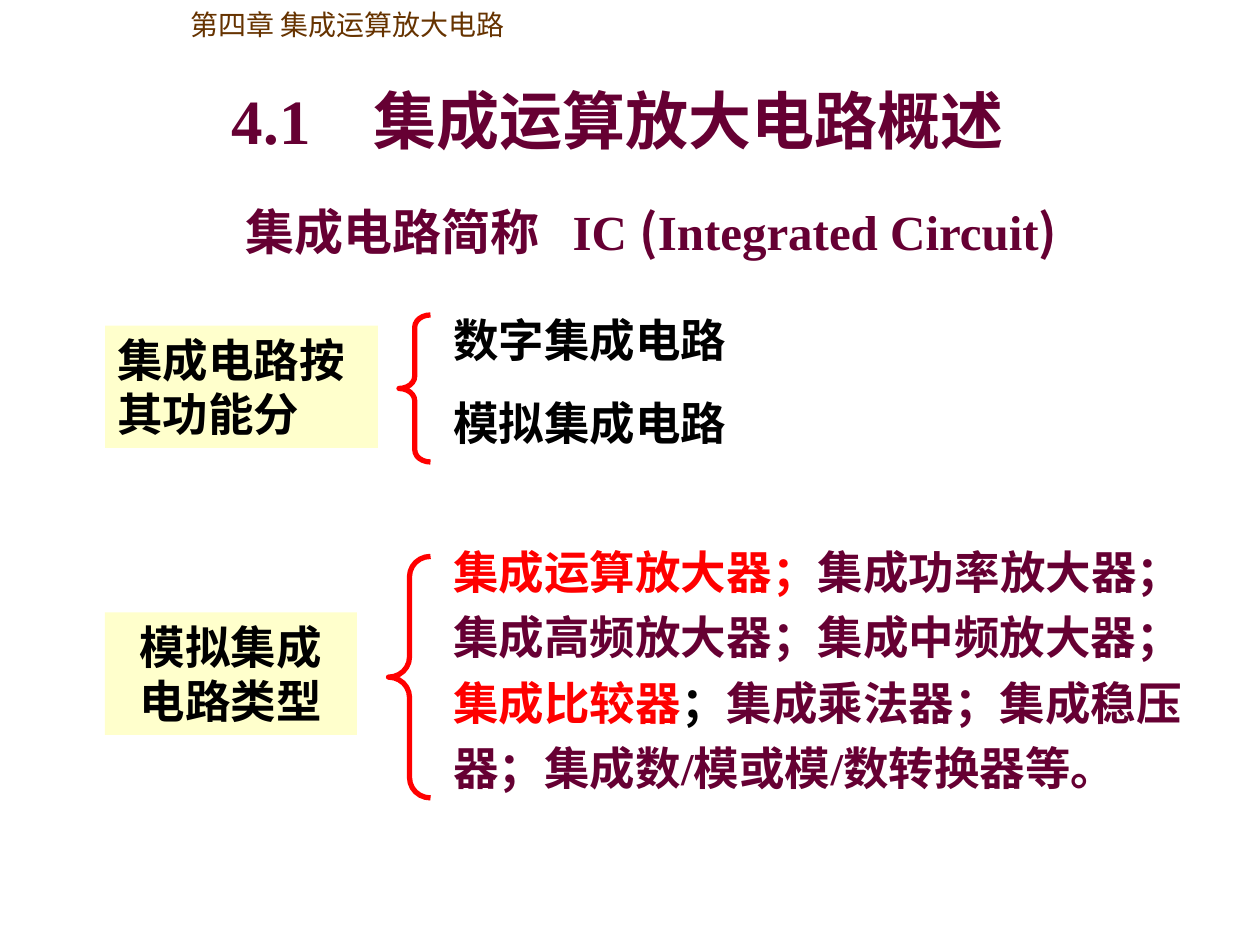
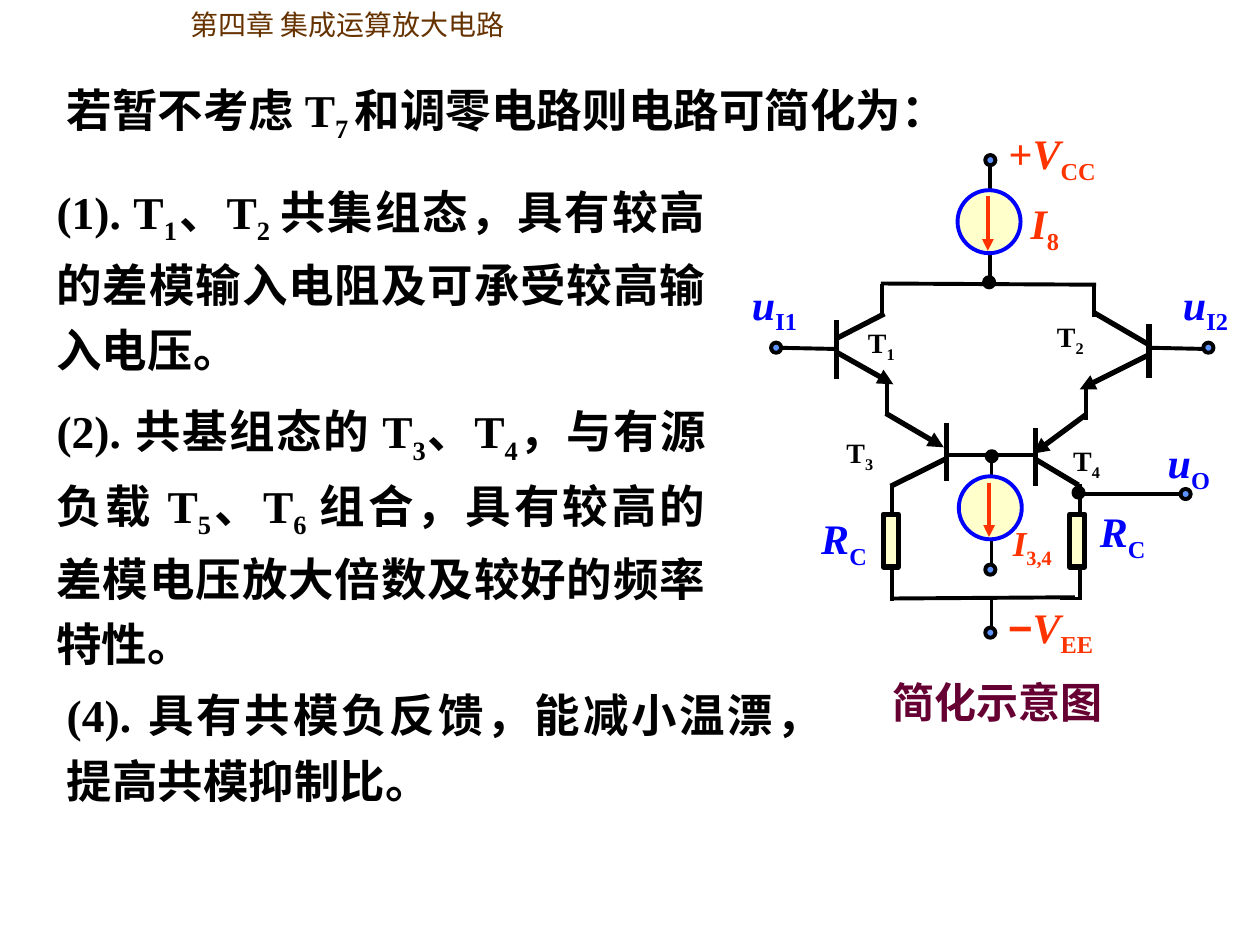
"""Build two lecture slides on integrated operational amplifiers."""
import pptx
import pptx.dml.color
import pptx.enum.shapes
import pptx.enum.text
import pptx.oxml
import pptx.oxml.ns
import pptx.util

Pt = pptx.util.Pt
SHAPES = pptx.enum.shapes.MSO_SHAPE
ALIGN = pptx.enum.text.PP_ALIGN
MIDDLE = pptx.enum.text.MSO_ANCHOR.MIDDLE

COLORS = {
    "black": "000000",
    "plum": "660033",
    "brown": "663300",
    "red": "FF0000",
    "orange": "FF3300",
    "blue": "0000FF",
    "cream": "FFFFCC",
    "terminal": "5D93FF",
}
CJK_FONT = "Noto Sans CJK SC"
BODY = {"name": "Times New Roman", "size": 26, "bold": True, "italic": False, "color": "black"}
TITLE = {"size": 36, "color": "plum"}
SUBTITLE = {"size": 28, "color": "plum"}
CAPTION = {"size": 24, "color": "plum"}
HEADER = {"name": "Noto Sans CJK JP", "size": 16, "bold": False, "color": "brown"}
SUBSCRIPT = {"baseline": "-25000", "italic": False}
SPACED = {"line_spacing": 1.2}
JUSTIFIED = {"alignment": ALIGN.JUSTIFY}
CENTERED = {"alignment": ALIGN.CENTER}


def with_subscripts(*pieces):
    return [(piece, SUBSCRIPT if index % 2 else {}) for index, piece in enumerate(pieces)]


class Deck:
    def __init__(self):
        self.presentation = pptx.Presentation()
        self.presentation.slide_width = Pt(720)
        self.presentation.slide_height = Pt(540)
        self.slide = None

    def new_slide(self):
        self.slide = self.presentation.slides.add_slide(self.presentation.slide_layouts[6])
        self.text((102, 0.7, 241, 27), [["第四章 集成运算放大电路"]], HEADER)

    def color(self, name):
        return pptx.dml.color.RGBColor.from_string(COLORS[name])

    def format_run(self, run, style):
        style = dict(style)
        run.font.color.rgb = self.color(style.pop("color"))
        run.font.size = Pt(style.pop("size"))
        baseline = style.pop("baseline", None)
        for attribute, value in style.items():
            setattr(run.font, attribute, value)
        properties = run.font._element
        if baseline:
            properties.set("baseline", baseline)
        east_asian = pptx.oxml.parse_xml(
            f'<a:ea {pptx.oxml.ns.nsdecls("a")} typeface="{CJK_FONT}"/>')
        properties.find(pptx.oxml.ns.qn("a:latin")).addnext(east_asian)

    def fill_text(self, frame, paragraphs, style, layout):
        frame.word_wrap = True
        for index, runs in enumerate(paragraphs):
            paragraph = frame.paragraphs[0] if index == 0 else frame.add_paragraph()
            if index:
                paragraph.space_before = Pt(8.1)
            for attribute, value in layout.items():
                setattr(paragraph, attribute, value)
            for item in runs:
                words, changes = (item, {}) if isinstance(item, str) else item
                run = paragraph.add_run()
                run.text = words
                self.format_run(run, {**BODY, **style, **changes})

    def text(self, box, paragraphs, style={}, layout={}):
        shape = self.slide.shapes.add_textbox(*map(Pt, box))
        self.fill_text(shape.text_frame, paragraphs, style, layout)
        return shape

    def shape(self, kind, box, fill=None, line=None, width=2.25):
        shape = self.slide.shapes.add_shape(kind, *map(Pt, box))
        shape.shadow.inherit = False
        if fill:
            shape.fill.solid()
            shape.fill.fore_color.rgb = self.color(fill)
        else:
            shape.fill.background()
        if line:
            shape.line.color.rgb = self.color(line)
            shape.line.width = Pt(width)
        else:
            shape.line.fill.background()
        return shape

    def topic(self, box, words, layout):
        shape = self.shape(SHAPES.RECTANGLE, box, "cream")
        shape.text_frame.vertical_anchor = pptx.enum.text.MSO_ANCHOR.TOP
        self.fill_text(shape.text_frame, [[words]], {}, layout)

    def brace(self, left, top, width, height):
        shape = self.shape(SHAPES.LEFT_BRACE, (left, top, width, height), None, "red", 3)
        shape.adjustments[0] = height / 12 / width
        shape.adjustments[1] = 0.5

    def line(self, ends, width=2.25, color="black", arrow=False):
        connector = self.slide.shapes.add_connector(
            pptx.enum.shapes.MSO_CONNECTOR.STRAIGHT, *map(Pt, ends))
        connector.line.color.rgb = self.color(color)
        connector.line.width = Pt(width)
        namespace = pptx.oxml.ns.nsdecls("a")
        if arrow:
            connector.line._get_or_add_ln().append(
                pptx.oxml.parse_xml(f'<a:tailEnd {namespace} type="triangle"/>'))
        connector._element.spPr.append(pptx.oxml.parse_xml(f"<a:effectLst {namespace}/>"))

    def dot(self, left, top, fill):
        self.shape(SHAPES.OVAL, (left, top, 5.8, 5.8), fill, "black")

    def current_source(self, left, top):
        self.shape(SHAPES.OVAL, (left, top, 36, 36), "cream", "blue")
        self.line((left + 17.3, top + 3.6, left + 17.3, top + 34.6), 2.25, "orange", True)

    def symbol(self, box, letter, subscript, color, size=24, italic=True):
        runs = [(letter, {"italic": italic}), (subscript, SUBSCRIPT)]
        return self.text(box, [runs], {"color": color, "size": size})

    def supply(self, box, sign, subscript):
        runs = [sign, ("V", {"italic": True}), (subscript, SUBSCRIPT)]
        shape = self.text(box, [runs], {"color": "orange", "size": 24}, CENTERED)
        shape.text_frame.vertical_anchor = MIDDLE


def build_overview(deck):
    deck.new_slide()
    deck.text((116, 43.2, 474, 50), [["4.1　集成运算放大电路概述"]], TITLE, CENTERED)
    parenthesis = {"name": CJK_FONT}
    subtitle = deck.text((133.2, 111.6, 498, 41), [[
        "集成电路简称\tIC ", ("(", parenthesis), "Integrated Circuit", (")", parenthesis)]], SUBTITLE)
    properties = subtitle.text_frame.paragraphs[0]._p.get_or_add_pPr()
    properties.append(pptx.oxml.parse_xml(
        f'<a:tabLst {pptx.oxml.ns.nsdecls("a")}><a:tab pos="{Pt(187)}" algn="l"/></a:tabLst>'))

    deck.topic((60, 186, 156, 70), "集成电路按其功能分", {"alignment": ALIGN.LEFT})
    deck.brace(228, 180, 18, 84)
    for index, kind in enumerate(("数字集成电路", "模拟集成电路")):
        deck.text((252, 175 + 47 * index, 228, 39), [[kind]])

    deck.topic((60, 350, 144, 70), "模拟集成电路类型", CENTERED)
    deck.brace(222, 318, 24, 138)
    red, plum = {"color": "red"}, {"color": "plum"}
    deck.text((252, 301, 456, 157), [[
        ("集成运算放大器；", red),
        ("集成功率放大器；集成高频放大器；集成中频放大器；", plum),
        ("集成比较器", red),
        "；",
        ("集成乘法器；集成稳压器；集成数/模或模/数转换器等。", plum),
    ]], {}, SPACED)


def draw_circuit(deck):
    wires = [
        (566.6, 260.6, 566.6, 326.9), (565.9, 95, 565.9, 161.3),
        (655.2, 198.7, 688.3, 199.4), (605.5, 342, 617, 342),
        (620.6, 221.8, 620.6, 239.8), (503.3, 162, 626.4, 162.7),
        (566.6, 341.3, 566.6, 359.3), (540.7, 259.9, 590.4, 259.9),
        (442.8, 198.7, 476.6, 199.4), (506.9, 218.9, 506.9, 236.9),
        (625, 163.4, 625, 181.4), (504, 162, 504, 180),
        (617, 276.5, 617, 342.7), (509.8, 277.2, 509.8, 343.4),
        (510.5, 342, 614.2, 341.3), (615.6, 282.2, 677.5, 282.2),
    ]
    transistor_leads = [
        (478.1, 182.9, 478.1, 216.7), (477.4, 193.7, 505.4, 179.3),
        (656.6, 216, 656.6, 185), (655.9, 196.6, 625, 178.6),
        (540.7, 241.9, 540.7, 275), (509, 277.9, 540.7, 262.1),
        (591.8, 244.8, 591.8, 277.9), (591.1, 262.1, 616.3, 277.2),
    ]
    emitters = [
        (477.4, 200.9, 510.5, 219.6), (657.4, 202.3, 617, 222.5),
        (506.2, 236.2, 539.3, 255.6), (620.6, 236.9, 590.4, 259.2),
    ]
    for ends in wires:
        deck.line(ends)
    for ends in transistor_leads:
        deck.line(ends, 3)
    for ends in emitters:
        deck.line(ends, 3, arrow=True)
    for left, top in ((547.2, 108.7), (547.9, 272.2)):
        deck.current_source(left, top)
    for left in (504.7, 611.3):
        deck.shape(SHAPES.RECTANGLE, (left, 293.8, 8.6, 30.2), "cream", "black", 3)

    terminals = [(563, 88.6), (563, 322.6), (563, 358.6),
                 (440.6, 195.8), (687.6, 195.8), (674.6, 279.4)]
    nodes = [(562.3, 158.4), (563.8, 257.8), (613.4, 278.6)]
    for fill, places in (("terminal", terminals), ("black", nodes)):
        for left, top in places:
            deck.dot(left, top, fill)


def label_circuit(deck):
    deck.supply((560.2, 69.1, 82, 40.3), "+", "CC")
    deck.supply((559.4, 339.8, 82, 40.3), ("−", {"name": "Arial"}), "EE")
    deck.symbol((581.8, 109.4, 50, 40.3), "I", "8", "orange")
    deck.symbol((571.7, 294.5, 50, 34.6), "I", "3,4", "orange", 20)
    transistors = [(488.9, 182.2), (596.9, 179.3), (476.6, 245.5), (606.2, 249.8)]
    for number, (left, top) in enumerate(transistors, 1):
        deck.symbol((left, top, 54, 29.5), "T", str(number), "black", 16, False)
    for subscript, left, top in (("I1", 422.6, 155.5), ("I2", 668.9, 155.5), ("O", 660.2, 246.2)):
        deck.symbol((left, top, 51, 40.3), "u", subscript, "blue")
    for left, top in ((462.2, 289.4), (621.4, 285.1)):
        resistor = deck.symbol((left, top, 40.3, 40.3), "R", "C", "blue")
        resistor.text_frame.word_wrap = False
        resistor.text_frame.vertical_anchor = MIDDLE
        resistor.text_frame.paragraphs[0].alignment = ALIGN.CENTER
    deck.text((499, 383, 142, 36), [["简化示意图"]], CAPTION, CENTERED)


def build_simplified_circuit(deck):
    deck.new_slide()
    deck.text((31, 43.2, 612, 43),
              [with_subscripts("若暂不考虑 T", "7 ", "和调零电路则电路可简化为：")], {}, JUSTIFIED)
    draw_circuit(deck)
    label_circuit(deck)
    body = {**JUSTIFIED, **SPACED}
    deck.text((25.2, 94.3, 385.2, 293), [
        with_subscripts("(1). T", "1", "、T", "2 ",
                        "共集组态，具有较高的差模输入电阻及可承受较高输入电压。"),
        with_subscripts("(2). 共基组态的 T", "3", "、T", "4", "，与有源负载 T", "5", "、T", "6 ",
                        "组合，具有较高的差模电压放大倍数及较好的频率特性。"),
    ], {}, body)
    deck.text((31, 383, 420, 82), [["(4). 具有共模负反馈，能减小温漂，提高共模抑制比。"]], {}, body)


def main():
    deck = Deck()
    build_overview(deck)
    build_simplified_circuit(deck)
    deck.presentation.save("out.pptx")


if __name__ == "__main__":
    main()
